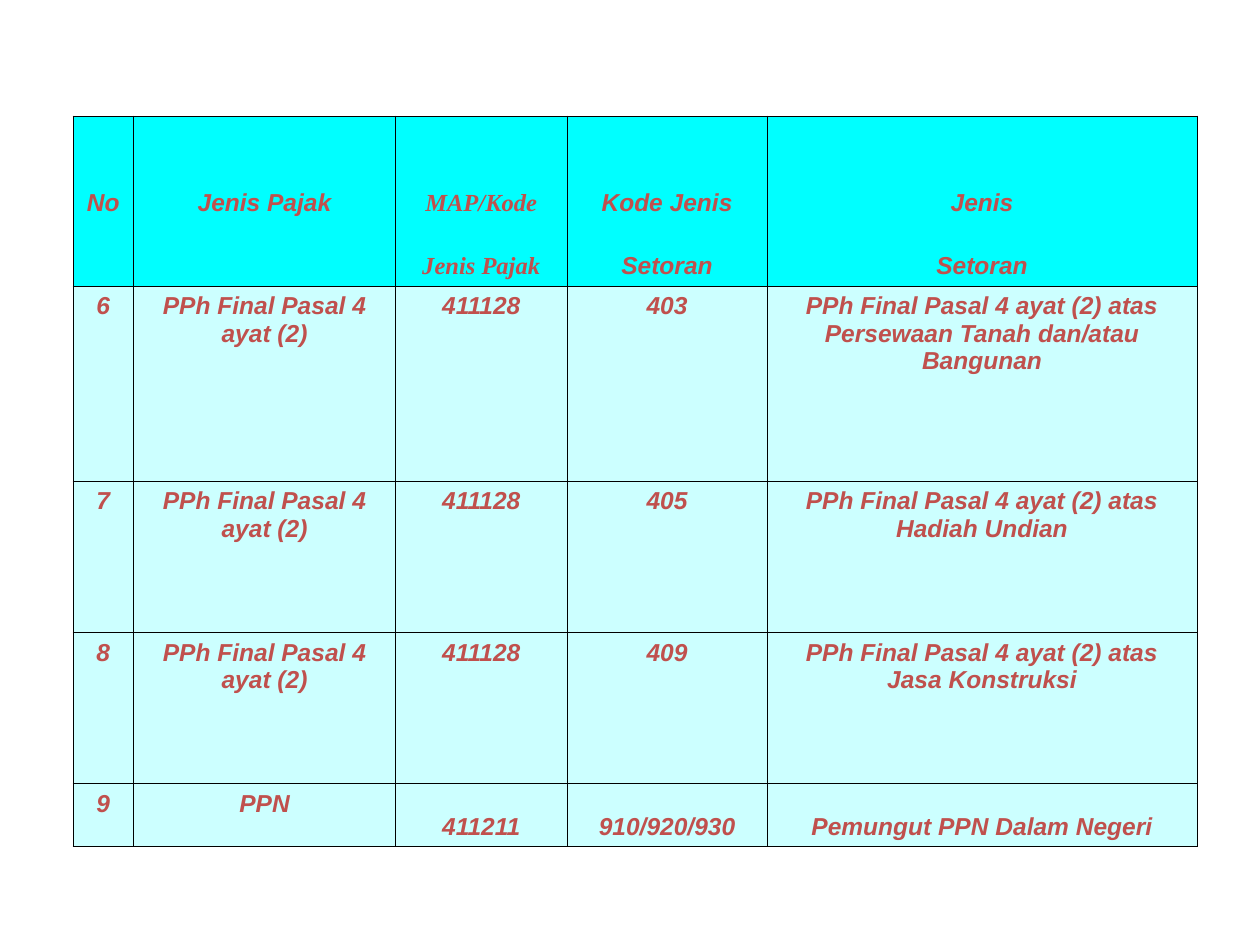
from lxml.etree import SubElement
from pptx import Presentation
from pptx.dml.color import RGBColor
from pptx.enum.text import MSO_ANCHOR, PP_ALIGN
from pptx.oxml.ns import qn
from pptx.util import Inches, Pt

COLORS = {"header": "00FFFF", "body": "CCFFFF", "text": "C0504D", "border": "000000"}
COLUMN_WIDTHS = [0.48, 2.08, 1.36, 1.59, 3.41]
ROW_HEIGHTS = [0.85, 0.5, 1.55, 1.2, 1.2, 0.5]
HEADER_ROWS = 2
CODE_COLUMN = 2
FINAL_TAX = "PPh Final Pasal 4 ayat (2)"
ROWS = [
    ["No", "Jenis Pajak", "MAP/Kode", "Kode Jenis", "Jenis"],
    ["", "", "Jenis Pajak", "Setoran", "Setoran"],
    ["6", FINAL_TAX, "411128", "403",
     f"{FINAL_TAX} atas\nPersewaan Tanah dan/atau\nBangunan"],
    ["7", FINAL_TAX, "411128", "405", f"{FINAL_TAX} atas\nHadiah Undian"],
    ["8", FINAL_TAX, "411128", "409", f"{FINAL_TAX} atas\nJasa Konstruksi"],
    ["9", "PPN", "411211", "910/920/930", "Pemungut PPN Dalam Negeri"],
]


def set_borders(cell, hidden_side):
    properties = cell._tc.get_or_add_tcPr()
    for side in ("lnL", "lnR", "lnT", "lnB"):
        line = SubElement(properties, qn(f"a:{side}"), w=str(Pt(0.45)))
        if side == hidden_side:
            SubElement(line, qn("a:noFill"))
        else:
            fill = SubElement(line, qn("a:solidFill"))
            SubElement(fill, qn("a:srgbClr"), val=COLORS["border"])


def set_fill(cell, color):
    cell.fill.solid()
    cell.fill.fore_color.rgb = RGBColor.from_string(COLORS[color])


def set_text(cell, text, font_name, anchor):
    cell.vertical_anchor = anchor
    paragraph = cell.text_frame.paragraphs[0]
    paragraph.text = text
    paragraph.alignment = PP_ALIGN.CENTER
    for run in paragraph.runs:
        run.font.name = font_name
        run.font.size = Pt(14)
        run.font.bold = True
        run.font.italic = True
        run.font.color.rgb = RGBColor.from_string(COLORS["text"])


def add_tax_table(slide):
    table = slide.shapes.add_table(
        len(ROWS), len(COLUMN_WIDTHS), Inches(0.58), Inches(0.92),
        Inches(sum(COLUMN_WIDTHS)), Inches(sum(ROW_HEIGHTS))).table
    table.first_row = False
    table.horz_banding = False
    for column, width in zip(table.columns, COLUMN_WIDTHS):
        column.width = Inches(width)
    for row, height in zip(table.rows, ROW_HEIGHTS):
        row.height = Inches(height)
    last_row = len(ROWS) - 1
    for row_index, texts in enumerate(ROWS):
        is_header = row_index < HEADER_ROWS
        hidden_side = {0: "lnB", 1: "lnT"}.get(row_index)
        for column_index, text in enumerate(texts):
            cell = table.cell(row_index, column_index)
            is_code = column_index >= CODE_COLUMN
            at_bottom = is_header or (row_index == last_row and is_code)
            is_serif = is_header and column_index == CODE_COLUMN
            set_borders(cell, hidden_side)
            set_fill(cell, "header" if is_header else "body")
            set_text(cell, text, "Times New Roman" if is_serif else "Arial",
                     MSO_ANCHOR.BOTTOM if at_bottom else MSO_ANCHOR.TOP)


def main():
    presentation = Presentation()
    presentation.slide_width = Inches(10)
    presentation.slide_height = Inches(7.5)
    slide = presentation.slides.add_slide(presentation.slide_layouts[6])
    add_tax_table(slide)
    presentation.save("out.pptx")


if __name__ == "__main__":
    main()
